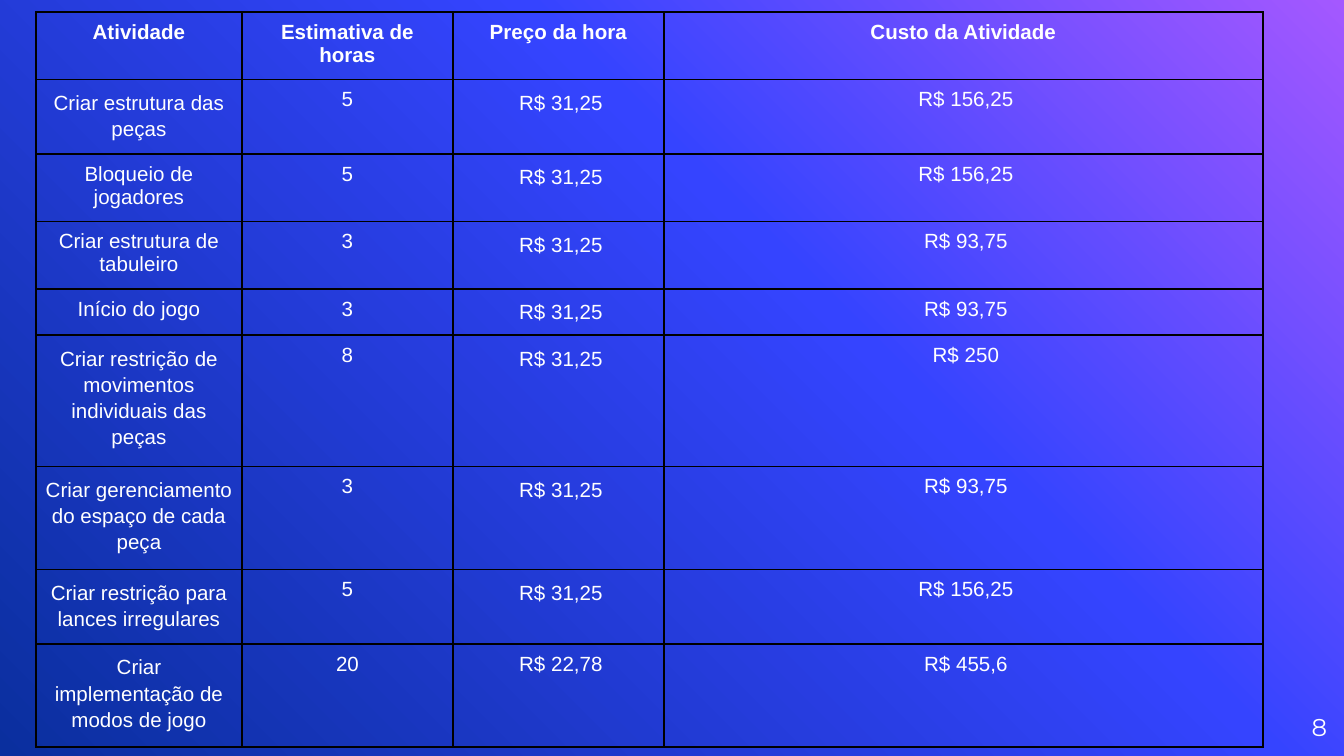
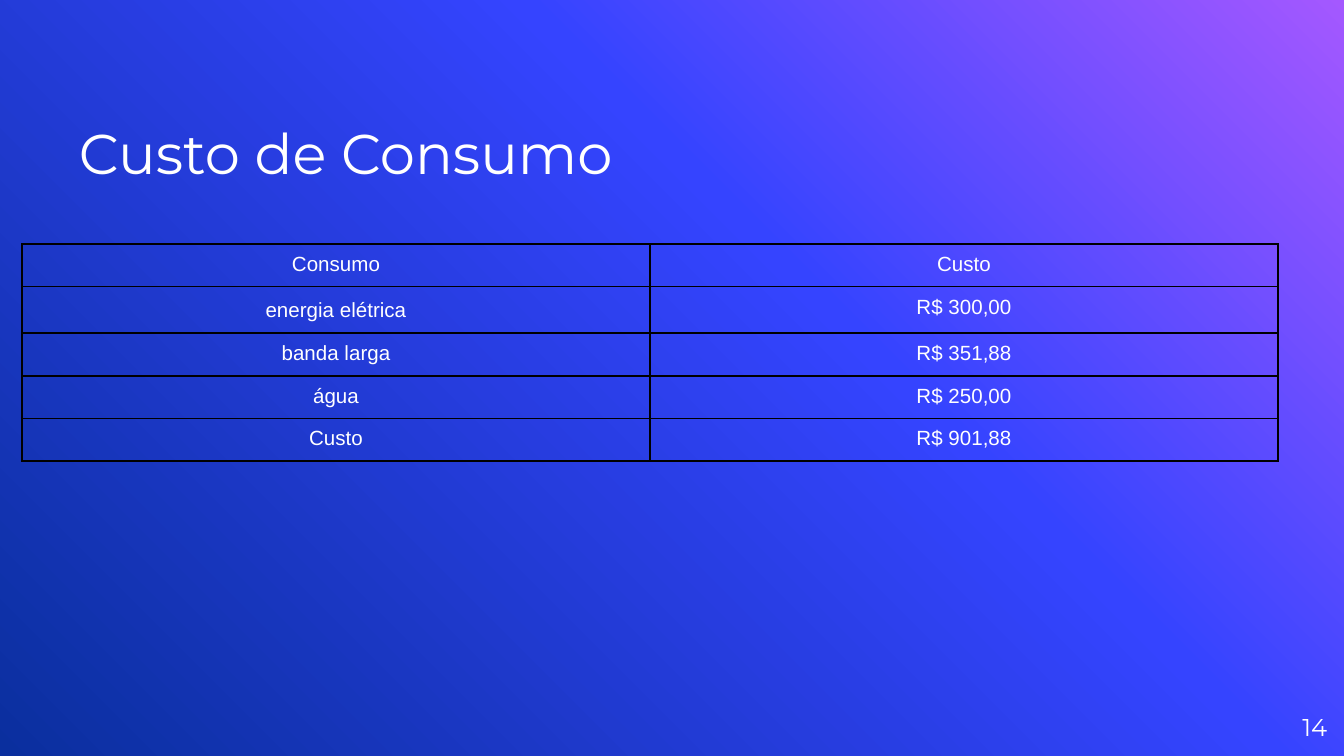
import lxml.etree
import pptx
import pptx.dml.color
import pptx.enum.text
import pptx.oxml.ns
import pptx.util

# Content
TASKS = [
    ("Atividade", "Estimativa de horas", "Preço da hora", "Custo da Atividade"),
    ("Criar estrutura das peças", "5", "R$ 31,25", "R$ 156,25"),
    ("Bloqueio de jogadores", "5", "R$ 31,25", "R$ 156,25"),
    ("Criar estrutura de tabuleiro", "3", "R$ 31,25", "R$ 93,75"),
    ("Início do jogo", "3", "R$ 31,25", "R$ 93,75"),
    ("Criar restrição de movimentos individuais das peças", "8", "R$ 31,25", "R$ 250"),
    ("Criar gerenciamento do espaço de cada peça", "3", "R$ 31,25", "R$ 93,75"),
    ("Criar restrição para lances irregulares", "5", "R$ 31,25", "R$ 156,25"),
    ("Criar implementação de modos de jogo", "20", "R$ 22,78", "R$ 455,6"),
]
USAGE = [
    ("Consumo", "Custo"),
    ("energia elétrica", "R$ 300,00"),
    ("banda larga", "R$ 351,88"),
    ("água", "R$ 250,00"),
    ("Custo", "R$ 901,88"),
]
SLIDES = [
    {
        "num": "8", "title": None, "rows": TASKS, "at": (36, 12),
        "cols": (206, 211, 211, 599),
        "highs": (64, 71, 64, 64, 45, 123, 97, 71, 97),
        "bold": True, "leads": (0, 0, 5, 5),
        "loose": {(r, 0) for r in (1, 5, 6, 7, 8)} | {(r, 2) for r in range(1, 8)},
    },
    {
        "num": "14", "title": "Custo de Consumo", "rows": USAGE, "at": (22, 244),
        "cols": (628, 628), "highs": (41, 45, 41, 41, 41),
        "bold": False, "leads": (0, 0), "loose": {(1, 0)},
    },
]

# Shared look
HUES = {"text": "FFFFFF", "line": "000000",
        "top": "A458FF", "mid": "3544FF", "low": "0A2F9E"}
STOPS = [(0, "top"), (39, "mid"), (100, "low")]
HEAD, BODY = "Montserrat", "Arial"
WIDE, HIGH = 1344, 756
PAD = 9
ALIGN = pptx.enum.text.PP_ALIGN
ANCHOR = pptx.enum.text.MSO_ANCHOR
qn = pptx.oxml.ns.qn


def px(n):
    return pptx.util.Emu(round(n * 914400 / 134.4))


def sub(node, tag, **attrs):
    return lxml.etree.SubElement(node, qn(tag), attrs)


def write(para, text, font, size, align, bold=False):
    para.alignment = align
    run = para.add_run()
    run.text = text
    run.font.name = font
    run.font.size = pptx.util.Pt(size)
    run.font.bold = bold
    run.font.color.rgb = pptx.dml.color.RGBColor.from_string(HUES["text"])


def inset(frame, pad):
    frame.margin_left = frame.margin_right = px(pad)
    frame.margin_top = frame.margin_bottom = px(pad)


def paint(master):
    fill = master.background.fill
    fill.gradient()
    fill.gradient_angle = 225
    stops = master.element.cSld.find(".//" + qn("a:gsLst"))
    for old in list(stops):
        stops.remove(old)
    for pos, hue in STOPS:
        stop = sub(stops, "a:gs", pos=str(pos * 1000))
        sub(stop, "a:srgbClr", val=HUES[hue])


def rule(cell):
    props = cell._tc.get_or_add_tcPr()
    for side in ("a:lnL", "a:lnR", "a:lnT", "a:lnB"):
        line = sub(props, side, w=str(pptx.util.Pt(1)))
        sub(sub(line, "a:solidFill"), "a:srgbClr", val=HUES["line"])


def add_grid(slide, data):
    rows, cols, highs = data["rows"], data["cols"], data["highs"]
    left, top = data["at"]
    grid = slide.shapes.add_table(len(rows), len(cols), px(left), px(top),
                                  px(sum(cols)), px(sum(highs))).table
    grid.first_row = grid.horz_banding = False
    for col, wide in zip(grid.columns, cols):
        col.width = px(wide)
    for r, (row, high) in enumerate(zip(rows, highs)):
        grid.rows[r].height = px(high)
        for c, text in enumerate(row):
            cell = grid.cell(r, c)
            inset(cell, PAD)
            if r:
                cell.margin_left = px(PAD + data["leads"][c])
            rule(cell)
            cell.fill.background()
            para = cell.text_frame.paragraphs[0]
            if (r, c) in data["loose"]:
                para.line_spacing = 1.15
            write(para, text, BODY, 11, ALIGN.CENTER, data["bold"] and r == 0)


def add_title(slide, text):
    title = slide.shapes.title
    title.left, title.top, title.width, title.height = map(px, (66, 106, 1007, 95))
    frame = title.text_frame
    frame.auto_size = pptx.enum.text.MSO_AUTO_SIZE.NONE
    frame.vertical_anchor = ANCHOR.TOP
    inset(frame, 13)
    write(frame.paragraphs[0], text, HEAD, 30, ALIGN.LEFT)


def add_num(slide, text):
    frame = slide.shapes.add_textbox(*map(px, (1246, 698, 81, 58))).text_frame
    frame.word_wrap = True
    frame.vertical_anchor = ANCHOR.MIDDLE
    inset(frame, 0)
    write(frame.paragraphs[0], text, HEAD, 13, ALIGN.RIGHT)


def main():
    deck = pptx.Presentation()
    deck.slide_width, deck.slide_height = px(WIDE), px(HIGH)
    paint(deck.slide_master)
    for data in SLIDES:
        # Title Only or Blank layout
        slide = deck.slides.add_slide(deck.slide_layouts[5 if data["title"] else 6])
        add_num(slide, data["num"])
        add_grid(slide, data)
        if data["title"]:
            add_title(slide, data["title"])
    deck.save("out.pptx")


if __name__ == "__main__":
    main()
